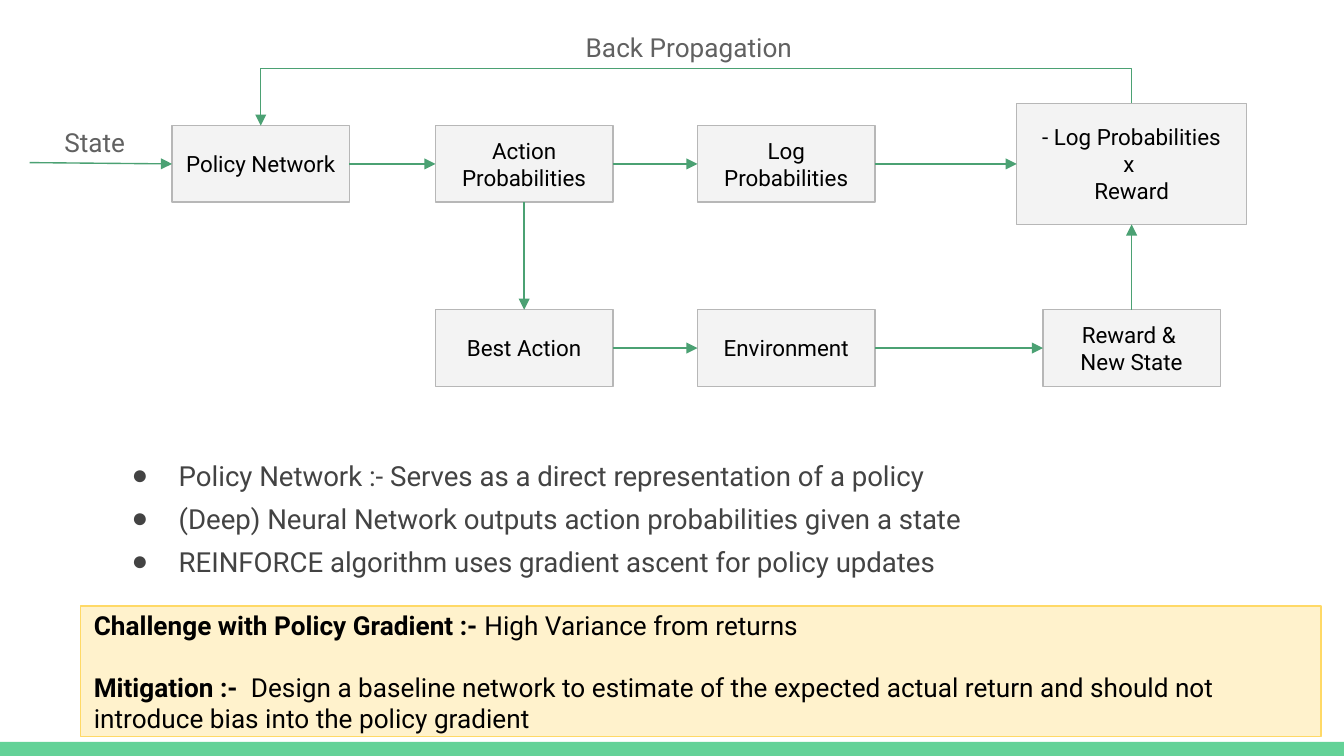
"""Build the policy gradient slide: a flow diagram, key points and a challenge note."""
from lxml.etree import SubElement
from pptx import Presentation
from pptx.dml.color import RGBColor
from pptx.enum.shapes import MSO_CONNECTOR, MSO_SHAPE
from pptx.enum.text import MSO_ANCHOR, MSO_AUTO_SIZE, PP_ALIGN
from pptx.oxml.ns import qn
from pptx.util import Inches, Pt

WIDTH = 10
HEIGHT = WIDTH * 9 / 16
FONT = "Roboto"
BULLET_FONT = "Arial"
BLACK = RGBColor(0x00, 0x00, 0x00)
LABEL_GRAY = RGBColor(0x61, 0x61, 0x61)
POINT_GRAY = RGBColor(0x43, 0x43, 0x43)
BOX_FILL = RGBColor(0xF3, 0xF3, 0xF3)
BOX_LINE = RGBColor(0xB7, 0xB7, 0xB7)
ARROW_GREEN = RGBColor(0x4B, 0xA1, 0x73)
BAR_GREEN = RGBColor(0x63, 0xD2, 0x97)
NOTE_FILL = RGBColor(0xFF, 0xF2, 0xCC)
NOTE_LINE = RGBColor(0xFF, 0xD9, 0x66)

COLUMN_CENTERS = (1.94, 3.9, 5.85, 8.42)
ROW_CENTERS = (1.22, 2.59)
BOX_SIZE = (1.32, 0.57)
LOSS_SIZE = (1.71, 0.9)
FEEDBACK_Y = 0.51
TOP, LEFT, BOTTOM, RIGHT = range(4)

STEPS = {
    "policy": ("Policy Network", 0, 0, BOX_SIZE),
    "actions": ("Action Probabilities", 1, 0, BOX_SIZE),
    "logs": ("Log Probabilities", 2, 0, BOX_SIZE),
    "best": ("Best Action", 1, 1, BOX_SIZE),
    "environment": ("Environment", 2, 1, BOX_SIZE),
    "reward": ("Reward & \nNew State", 3, 1, BOX_SIZE),
    "loss": ("- Log Probabilities\nx \nReward", 3, 0, LOSS_SIZE),
}
FLOWS = [
    ("policy", RIGHT, "actions", LEFT),
    ("actions", RIGHT, "logs", LEFT),
    ("logs", RIGHT, "loss", LEFT),
    ("actions", BOTTOM, "best", TOP),
    ("best", RIGHT, "environment", LEFT),
    ("environment", RIGHT, "reward", LEFT),
    ("reward", TOP, "loss", BOTTOM),
]
LABELS = [
    ("Back Propagation", (4.26, 0.13, 1.84, 0.38)),
    ("State", (0.38, 0.84, 0.68, 0.38)),
]
POINTS = [
    "Policy Network :- Serves as a direct representation of a policy",
    "(Deep) Neural Network outputs action probabilities given a state",
    "REINFORCE algorithm uses gradient ascent for policy updates",
]
NOTES = [
    [("Challenge with Policy Gradient :- ", True), ("High Variance from returns", False)],
    [("Mitigation :- ", True),
     (" Design a baseline network to estimate of the expected actual return and should "
      "not introduce bias into the policy gradient", False)],
]


def inches(*lengths):
    return [Inches(length) for length in lengths]


def write(frame, paragraphs, size=12, color=BLACK, align=PP_ALIGN.LEFT,
          anchor=MSO_ANCHOR.TOP, line_spacing=1.0, gap=0, bullet=None):
    frame.word_wrap = True
    frame.auto_size = MSO_AUTO_SIZE.NONE
    frame.vertical_anchor = anchor
    frame.margin_left = frame.margin_right = Inches(0.1)
    frame.margin_top = frame.margin_bottom = Inches(0.1)
    for index, pieces in enumerate(paragraphs):
        paragraph = frame.add_paragraph() if index else frame.paragraphs[0]
        paragraph.alignment = align
        paragraph.line_spacing = line_spacing
        paragraph.space_before = Pt(gap if index else 0)
        paragraph.space_after = Pt(0)
        if bullet:
            properties = paragraph._p.get_or_add_pPr()
            properties.set("marL", str(Inches(0.5)))
            properties.set("indent", str(Inches(-0.35)))
            SubElement(properties, qn("a:buFont"), typeface=BULLET_FONT)
            SubElement(properties, qn("a:buChar"), char=bullet)
        for text, bold in pieces:
            for number, line in enumerate(text.split("\n")):
                if number:
                    paragraph.add_line_break()
                run = paragraph.add_run()
                run.text = line
                run.font.name, run.font.size = FONT, Pt(size)
                run.font.bold, run.font.color.rgb = bold, color


def add_panel(slide, place, fill, line=None):
    panel = slide.shapes.add_shape(MSO_SHAPE.RECTANGLE, *inches(*place))
    panel.shadow.inherit = False
    panel.fill.solid()
    panel.fill.fore_color.rgb = fill
    if line is None:
        panel.line.fill.background()
    else:
        panel.line.color.rgb = line
        panel.line.width = Pt(0.75)
    return panel


def add_arrow(slide, kind, start, end):
    arrow = slide.shapes.add_connector(kind, *inches(*start, *end))
    arrow.line.color.rgb = ARROW_GREEN
    arrow.line.width = Pt(0.75)
    SubElement(arrow.line._get_or_add_ln(), qn("a:tailEnd"), type="triangle")
    SubElement(arrow._element.spPr, qn("a:effectLst"))
    return arrow


def add_feedback(slide, start, end):
    middle_x, middle_y = (start[0] + end[0]) / 2, (start[1] + end[1]) / 2
    rise, span = end[1] - start[1], start[0] - end[0]
    arrow = add_arrow(slide, MSO_CONNECTOR.ELBOW,
                      (middle_x - rise / 2, middle_y - span / 2),
                      (middle_x + rise / 2, middle_y + span / 2))
    properties = arrow._element.spPr
    properties.find(qn("a:xfrm")).set("rot", str(90 * 60000))
    geometry = properties.find(qn("a:prstGeom"))
    guides = geometry.find(qn("a:avLst"))
    if guides is None:
        guides = SubElement(geometry, qn("a:avLst"))
    bend = round((FEEDBACK_Y - start[1]) / rise * 100000)
    SubElement(guides, qn("a:gd"), name="adj1", fmla=f"val {bend}")


def main():
    deck = Presentation()
    deck.slide_width, deck.slide_height = inches(WIDTH, HEIGHT)
    slide = deck.slides.add_slide(deck.slide_layouts[1])
    title, points = slide.placeholders
    title._element.getparent().remove(title._element)

    add_panel(slide, (0, 5.52, WIDTH, HEIGHT - 5.52), BAR_GREEN)

    boxes = {}
    for step, (text, column, row, (width, height)) in STEPS.items():
        left = COLUMN_CENTERS[column] - width / 2
        top = ROW_CENTERS[row] - height / 2
        boxes[step] = add_panel(slide, (left, top, width, height), BOX_FILL, BOX_LINE)
        write(boxes[step].text_frame, [[(text, False)]],
              align=PP_ALIGN.CENTER, anchor=MSO_ANCHOR.MIDDLE)

    add_arrow(slide, MSO_CONNECTOR.STRAIGHT, (0.22, 1.21),
              (COLUMN_CENTERS[0] - BOX_SIZE[0] / 2, ROW_CENTERS[0]))
    for source, exit_side, target, entry_side in FLOWS:
        flow = add_arrow(slide, MSO_CONNECTOR.STRAIGHT, (0, 0), (1, 1))
        flow.begin_connect(boxes[source], exit_side)
        flow.end_connect(boxes[target], entry_side)
    add_feedback(slide, (COLUMN_CENTERS[3], ROW_CENTERS[0] - LOSS_SIZE[1] / 2),
                 (COLUMN_CENTERS[0], ROW_CENTERS[0] - BOX_SIZE[1] / 2))

    for text, place in LABELS:
        label = slide.shapes.add_textbox(*inches(*place))
        write(label.text_frame, [[(text, False)]], size=14, color=LABEL_GRAY)

    points.left, points.top, points.width, points.height = inches(0.73, 3.24, 8.93, 1.13)
    write(points.text_frame, [[(point, False)] for point in POINTS],
          size=14.8, color=POINT_GRAY, line_spacing=1.3, bullet="●")

    note = add_panel(slide, (0.6, 4.51, 9.23, 0.97), NOTE_FILL, NOTE_LINE)
    write(note.text_frame, NOTES, size=14, anchor=MSO_ANCHOR.MIDDLE, gap=16.4)

    deck.save("out.pptx")


if __name__ == "__main__":
    main()
